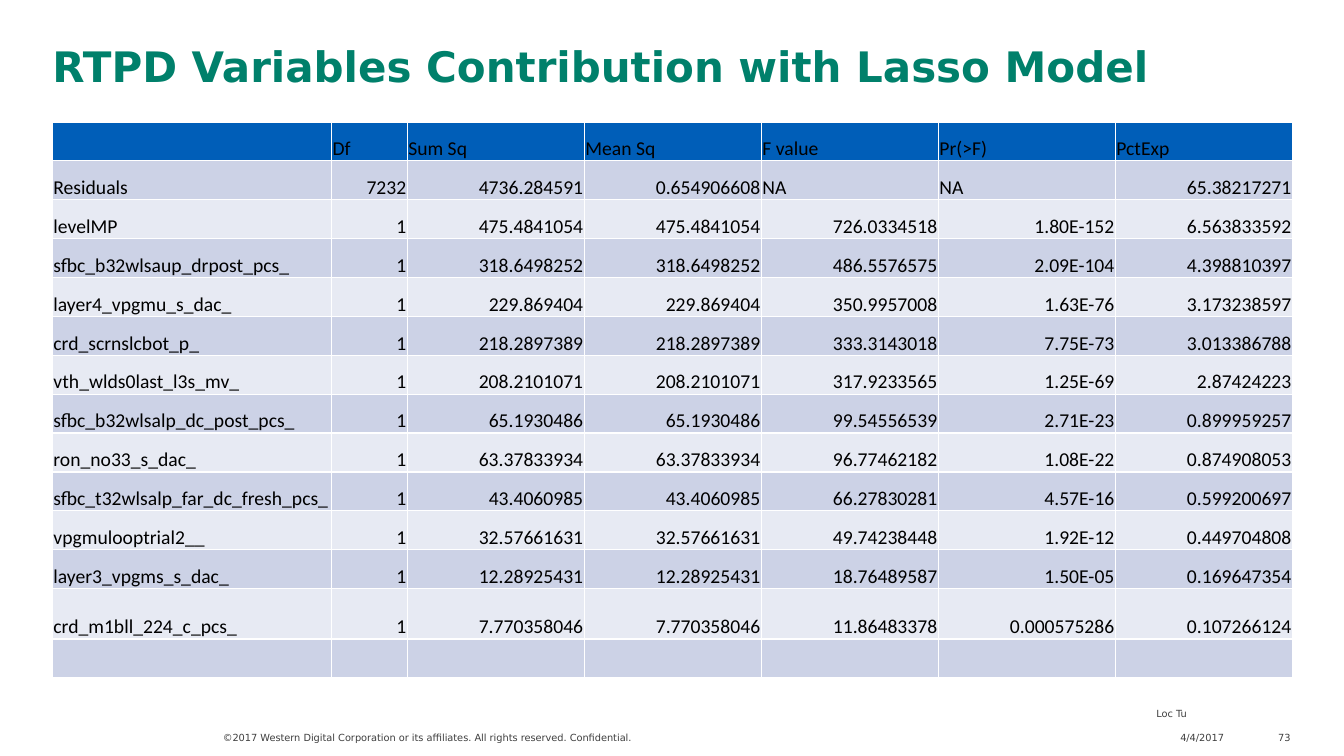
from pptx import Presentation
from pptx.dml.color import RGBColor
from pptx.enum.text import MSO_ANCHOR, MSO_AUTO_SIZE, PP_ALIGN
from pptx.util import Inches, Pt

LEFT, RIGHT = PP_ALIGN.LEFT, PP_ALIGN.RIGHT
TOP, BOTTOM = MSO_ANCHOR.TOP, MSO_ANCHOR.BOTTOM
NO_FIT = MSO_AUTO_SIZE.NONE

SLIDE_W, SLIDE_H = 13.33, 7.5
MARGIN, CONTENT_W = 0.52, 12.3
BRAND_FONT, DATA_FONT = "DejaVu Sans", "Calibri"
GREEN, BLUE, BLACK, GREY = "00806B", "005EB8", "000000", "3F3F3F"
BANDS = ["CCD2E6", "E7EAF3"]

TITLE = "RTPD Variables Contribution with Lasso Model"
HEADINGS = ["", "Df", "Sum Sq", "Mean Sq", "F value", "Pr(>F)", "PctExp"]
VARIABLES = [
    ["Residuals", "7232", "4736.284591", "0.654906608", "NA", "NA", "65.38217271"],
    ["levelMP", "1", "475.4841054", "475.4841054", "726.0334518", "1.80E-152", "6.563833592"],
    ["sfbc_b32wlsaup_drpost_pcs_", "1", "318.6498252", "318.6498252", "486.5576575", "2.09E-104", "4.398810397"],
    ["layer4_vpgmu_s_dac_", "1", "229.869404", "229.869404", "350.9957008", "1.63E-76", "3.173238597"],
    ["crd_scrnslcbot_p_", "1", "218.2897389", "218.2897389", "333.3143018", "7.75E-73", "3.013386788"],
    ["vth_wlds0last_l3s_mv_", "1", "208.2101071", "208.2101071", "317.9233565", "1.25E-69", "2.87424223"],
    ["sfbc_b32wlsalp_dc_post_pcs_", "1", "65.1930486", "65.1930486", "99.54556539", "2.71E-23", "0.899959257"],
    ["ron_no33_s_dac_", "1", "63.37833934", "63.37833934", "96.77462182", "1.08E-22", "0.874908053"],
    ["sfbc_t32wlsalp_far_dc_fresh_pcs_", "1", "43.4060985", "43.4060985", "66.27830281", "4.57E-16", "0.599200697"],
    ["vpgmulooptrial2__", "1", "32.57661631", "32.57661631", "49.74238448", "1.92E-12", "0.449704808"],
    ["layer3_vpgms_s_dac_", "1", "12.28925431", "12.28925431", "18.76489587", "1.50E-05", "0.169647354"],
    ["crd_m1bll_224_c_pcs_", "1", "7.770358046", "7.770358046", "11.86483378", "0.000575286", "0.107266124"],
]
NAME_W, DF_W = 2.77, 0.75
LAST_VARIABLE_H = 0.5


def color(hex_value):
    return RGBColor.from_string(hex_value)


def format_paragraph(paragraph, font, size, hex_value, align=LEFT, bold=False):
    paragraph.alignment = align
    paragraph.font.name = font
    paragraph.font.size = Pt(size)
    paragraph.font.bold = bold
    paragraph.font.color.rgb = color(hex_value)


def prepare_frame(frame, anchor):
    frame.margin_left = frame.margin_right = 0
    frame.margin_top = frame.margin_bottom = 0
    frame.word_wrap = True
    frame.auto_size = NO_FIT
    frame.vertical_anchor = anchor


def add_title(slide, left, top, width, height):
    title = slide.shapes.title
    title.left, title.top = Inches(left), Inches(top)
    title.width, title.height = Inches(width), Inches(height)
    prepare_frame(title.text_frame, TOP)
    title.text_frame.text = TITLE
    format_paragraph(title.text_frame.paragraphs[0], BRAND_FONT, 30, GREEN, bold=True)


def fill_cell(cell, text, fill, align):
    cell.fill.solid()
    cell.fill.fore_color.rgb = color(fill)
    cell.vertical_anchor = BOTTOM
    cell.margin_left = cell.margin_right = cell.margin_top = Inches(0.01)
    cell.margin_bottom = 0
    cell.text = text
    format_paragraph(cell.text_frame.paragraphs[0], DATA_FONT, 14, BLACK, align)


def add_variable_table(slide, left, top, width, height):
    rows = [HEADINGS, *VARIABLES, [""] * len(HEADINGS)]
    table = slide.shapes.add_table(
        len(rows), len(HEADINGS),
        Inches(left), Inches(top), Inches(width), Inches(height)).table

    value_w = (width - NAME_W - DF_W) / (len(HEADINGS) - 2)
    for index, column in enumerate(table.columns):
        column.width = Inches([NAME_W, DF_W][index] if index < 2 else value_w)

    row_h = (height - LAST_VARIABLE_H) / (len(rows) - 1)
    for r, texts in enumerate(rows):
        table.rows[r].height = Inches(LAST_VARIABLE_H if r == len(VARIABLES) else row_h)
        fill = BANDS[(r - 1) % 2] if r else BLUE
        for c, text in enumerate(texts):
            is_number = r > 0 and c > 0 and text != "NA"
            fill_cell(table.cell(r, c), text, fill, RIGHT if is_number else LEFT)


def add_footer(slide, top, height):
    parts = [
        (2.21, 4.39, [("©2017 Western Digital Corporation or its affiliates. "
                       "All rights reserved. Confidential.", LEFT)]),
        (11.47, 0.67, [("Loc Tu", LEFT), ("4/4/2017", RIGHT)]),
        (12.53, 0.27, [("73", RIGHT)]),
    ]
    for left, width, lines in parts:
        frame = slide.shapes.add_textbox(
            Inches(left), Inches(top), Inches(width), Inches(height)).text_frame
        prepare_frame(frame, BOTTOM)
        for index, (text, align) in enumerate(lines):
            paragraph = frame.add_paragraph() if index else frame.paragraphs[0]
            paragraph.text = text
            format_paragraph(paragraph, BRAND_FONT, 7, GREY, align)
            if index:
                paragraph.space_before = Pt(9)


def main():
    deck = Presentation()
    deck.slide_width, deck.slide_height = Inches(SLIDE_W), Inches(SLIDE_H)
    slide = deck.slides.add_slide(deck.slide_layouts[5])
    add_title(slide, MARGIN, 0.4, CONTENT_W, 0.68)
    add_variable_table(slide, MARGIN, 1.21, CONTENT_W, 5.52)
    add_footer(slide, 7.18, 0.2)
    deck.save("out.pptx")


if __name__ == "__main__":
    main()
